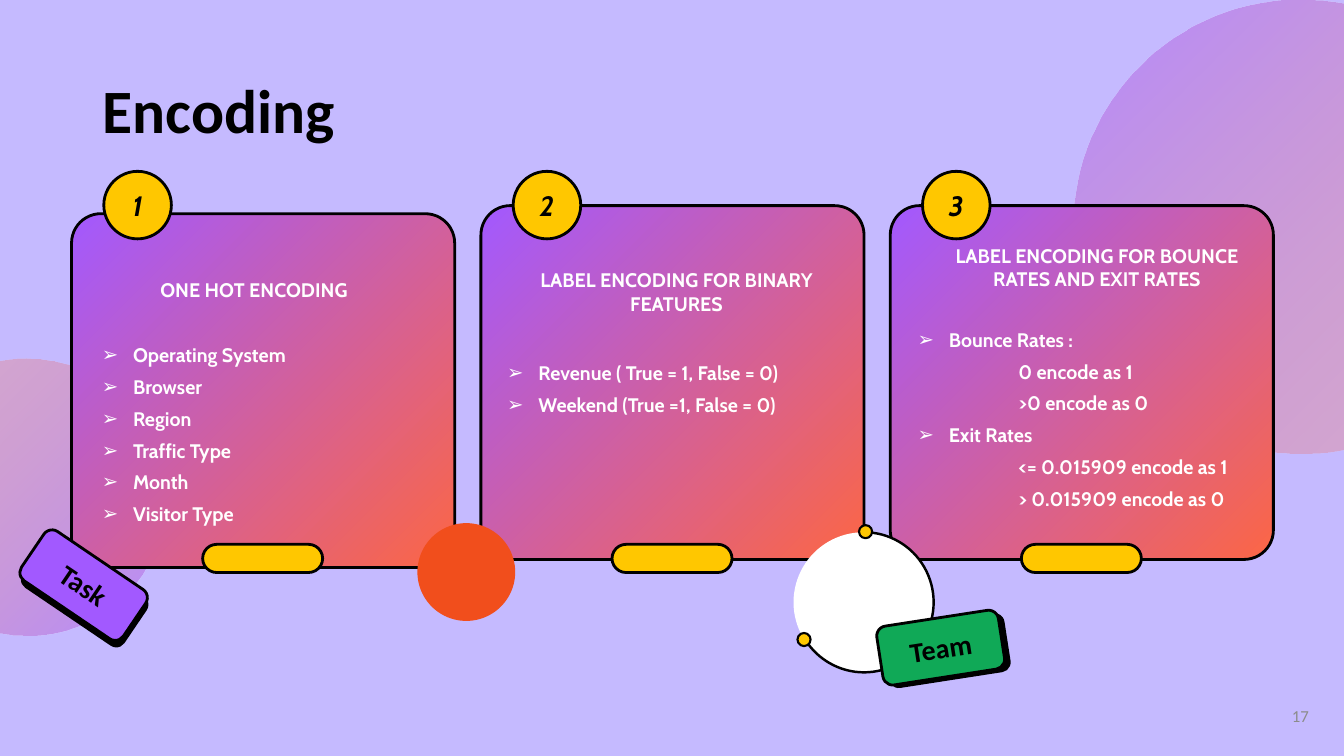
from math import acos, cos, pi, sin, tan
from lxml.etree import SubElement
from pptx import Presentation
from pptx.dml.color import RGBColor
from pptx.enum.shapes import MSO_SHAPE
from pptx.enum.text import MSO_ANCHOR, PP_ALIGN
from pptx.oxml import parse_xml
from pptx.oxml.ns import nsdecls, qn
from pptx.util import Inches, Pt

BLACK = RGBColor(0x00, 0x00, 0x00)
WHITE = RGBColor(0xFF, 0xFF, 0xFF)
LILAC = RGBColor(0xC5, 0xBA, 0xFF)
PURPLE = RGBColor(0xA2, 0x59, 0xFF)
CORAL = RGBColor(0xFC, 0x66, 0x45)
GOLD = RGBColor(0xFF, 0xC7, 0x00)
GREEN = RGBColor(0x10, 0xA9, 0x57)
ORANGE = RGBColor(0xF1, 0x4E, 0x1C)
GREY = RGBColor(0x8C, 0x8C, 0x8C)

CARDS = [
    (2.12, (1.59, 2.71), PP_ALIGN.LEFT, "ONE HOT ENCODING", (1.01, 3.35),
     [("Operating System", True), ("Browser", True), ("Region", True),
      ("Traffic Type", True), ("Month", True), ("Visitor Type", True)]),
    (2.04, (5.07, 2.61), PP_ALIGN.CENTER, "LABEL ENCODING FOR BINARY FEATURES", (5.03, 3.53),
     [("Revenue ( True = 1, False = 0)", True), ("Weekend (True =1, False = 0)", True)]),
    (2.04, (9.24, 2.37), PP_ALIGN.CENTER, "LABEL ENCODING FOR BOUNCE RATES AND EXIT RATES", (9.1, 3.2),
     [("Bounce Rates :", True), ("0 encode as 1", False), (">0 encode as 0", False),
      ("Exit Rates", True), ("<= 0.015909 encode as 1", False), ("> 0.015909 encode as 0", False)]),
]


def style(par, face, size, color, bold=True, italic=False):
    font = par.font
    font.name = face
    font.size = Pt(size)
    font.bold = bold
    font.italic = italic
    font.color.rgb = color


def blend(shape, angle, alphas=(100, 100)):
    stops = "".join(
        f'<a:gs pos="{pos}"><a:srgbClr val="{color}"><a:alpha val="{alpha * 1000}"/></a:srgbClr></a:gs>'
        for pos, color, alpha in zip((0, 100000), (CORAL, PURPLE), alphas))
    fill = parse_xml(f'<a:gradFill {nsdecls("a")} rotWithShape="1"><a:gsLst>{stops}</a:gsLst>'
                     f'<a:lin ang="{angle * 60000}" scaled="0"/></a:gradFill>')
    props = shape.element.spPr
    props.replace(props.find(qn("a:solidFill")), fill)


def paint(shape, fill, line):
    shape.shadow.inherit = False
    if fill is None:
        shape.fill.background()
    else:
        shape.fill.solid()
        shape.fill.fore_color.rgb = fill
    if line:
        shape.line.color.rgb = BLACK
        shape.line.width = Pt(line)
    else:
        shape.line.fill.background()


def draw(slide, kind, x, y, w, h, fill, line=0, turn=0, adjust=()):
    shape = slide.shapes.add_shape(kind, Inches(x), Inches(y), Inches(w), Inches(h))
    paint(shape, fill, line)
    shape.rotation = turn
    for i, value in enumerate(adjust):
        shape.adjustments[i] = value
    return shape


def label(shape, text, face, italic=False):
    frame = shape.text_frame
    frame.margin_left = frame.margin_right = 0
    frame.margin_top = frame.margin_bottom = 0
    frame.vertical_anchor = MSO_ANCHOR.MIDDLE
    par = frame.paragraphs[0]
    par.text = text
    par.alignment = PP_ALIGN.CENTER
    style(par, face, 20, BLACK, italic=italic)


def write(slide, x, y, w, h, anchor=MSO_ANCHOR.TOP, side=0.0):
    box = slide.shapes.add_textbox(Inches(x), Inches(y), Inches(w), Inches(h))
    frame = box.text_frame
    frame.word_wrap = True
    frame.vertical_anchor = anchor
    frame.margin_left = frame.margin_right = Inches(side)
    return frame


def disc(slide, x, y, r, edge, angle):
    cut = acos((edge - x) / r)
    if edge < x:
        turns = [-cut, -pi / 2, 0, pi / 2, cut]
    else:
        turns = [cut, pi / 2, pi, 3 * pi / 2, 2 * pi - cut]
    knots = [(Inches(x + r * cos(t)), Inches(y + r * sin(t))) for t in turns]
    pen = slide.shapes.build_freeform(*knots[0])
    pen.add_line_segments(knots[1:], close=True)
    shape = pen.convert_to_shape()
    lines = list(shape.element.spPr.iter(qn("a:lnTo")))
    for line, a, b in zip(lines, turns, turns[1:]):
        pull = 4 / 3 * tan((b - a) / 4)
        spots = [(cos(a) - pull * sin(a), sin(a) + pull * cos(a)),
                 (cos(b) + pull * sin(b), sin(b) - pull * cos(b)),
                 (cos(b), sin(b))]
        line.tag = qn("a:cubicBezTo")
        line.remove(line[0])
        for u, v in spots:
            dot = SubElement(line, qn("a:pt"))
            dot.set("x", str(Inches(x + r * u) - shape.left))
            dot.set("y", str(Inches(y + r * v) - shape.top))
    paint(shape, CORAL, 0)
    blend(shape, angle, (25, 50))


def header(slide):
    par = write(slide, 0.92, 0.4, 11.5, 1.45, MSO_ANCHOR.MIDDLE, 0.1).paragraphs[0]
    par.text = "Encoding"
    par.line_spacing = 0.9
    style(par, "Calibri", 44, BLACK)
    par = write(slide, 12.63, 6.9, 0.45, 0.4, MSO_ANCHOR.MIDDLE, 0.1).paragraphs[0]
    par.text = "17"
    par.alignment = PP_ALIGN.RIGHT
    style(par, "Calibri", 12, GREY, bold=False)


def points(frame, items):
    for i, (text, marked) in enumerate(items):
        par = frame.paragraphs[0] if i == 0 else frame.add_paragraph()
        par.text = text
        props = par._p.get_or_add_pPr()
        props.set("marL", str(Inches(0.31 if marked else 1)))
        props.set("indent", str(Inches(-0.31 if marked else 0)))
        if marked:
            SubElement(props, qn("a:buFont")).set("typeface", "Arial")
            SubElement(props, qn("a:buChar")).set("char", "➢")
        par.space_before = Pt(6)
        style(par, "Cabin", 14, WHITE)


def card(slide, x, number, top, place, align, title, spot, items):
    panel = draw(slide, MSO_SHAPE.ROUNDED_RECTANGLE, x, top, 3.8, 3.51, CORAL, 2, adjust=(0.083,))
    blend(panel, 225)
    draw(slide, MSO_SHAPE.ROUNDED_RECTANGLE, x + 1.3, 5.4, 1.19, 0.28, GOLD, 2, adjust=(0.5,))
    badge = draw(slide, MSO_SHAPE.OVAL, x + 0.32, 1.7, 0.67, 0.67, GOLD, 2)
    label(badge, str(number), "Cabin", italic=True)
    par = write(slide, *place, 3.28, 0.76).paragraphs[0]
    par.text = title
    par.alignment = align
    par.space_before = Pt(6)
    style(par, "Cabin", 14, WHITE)
    points(write(slide, *spot, 3.28, 0.76), items)


def tag(slide, x, y, dx, dy, turn, fill, text):
    draw(slide, MSO_SHAPE.ROUNDED_RECTANGLE, x + dx, y + dy, 1.22, 0.59, BLACK, turn=turn)
    front = draw(slide, MSO_SHAPE.ROUNDED_RECTANGLE, x, y, 1.22, 0.59, fill, 2, turn)
    label(front, text, "Calibri")


def orbit(slide, x, y):
    draw(slide, MSO_SHAPE.OVAL, x, y, 1.39, 1.39, WHITE)
    draw(slide, MSO_SHAPE.ARC, x + 0.01, y, 1.38, 1.39, None, 1.75, adjust=(162, 87.95))
    for dx, dy in ((0.65, -0.07), (0.04, 1)):
        draw(slide, MSO_SHAPE.OVAL, x + dx, y + dy, 0.13, 0.13, GOLD, 1.5)


def main():
    deck = Presentation()
    deck.slide_width, deck.slide_height = Inches(13.33), Inches(7.5)
    slide = deck.slides.add_slide(deck.slide_layouts[6])
    slide.background.fill.solid()
    slide.background.fill.fore_color.rgb = LILAC
    disc(slide, 0.27, 4.93, 1.37, 0, 45)
    disc(slide, 12.9, 2.25, 2.25, 13.33, 225)
    header(slide)
    for i, parts in enumerate(CARDS):
        card(slide, 0.71 + 4.06 * i, i + 1, *parts)
    tag(slide, 0.22, 5.51, 0.01, 0.07, 34.1, PURPLE, "Task")
    orbit(slide, 7.87, 5.28)
    tag(slide, 8.72, 6.13, 0.06, 0.03, 351.2, GREEN, "Team")
    draw(slide, MSO_SHAPE.OVAL, 4.14, 5.19, 0.97, 0.97, ORANGE)
    deck.save("out.pptx")


if __name__ == "__main__":
    main()
